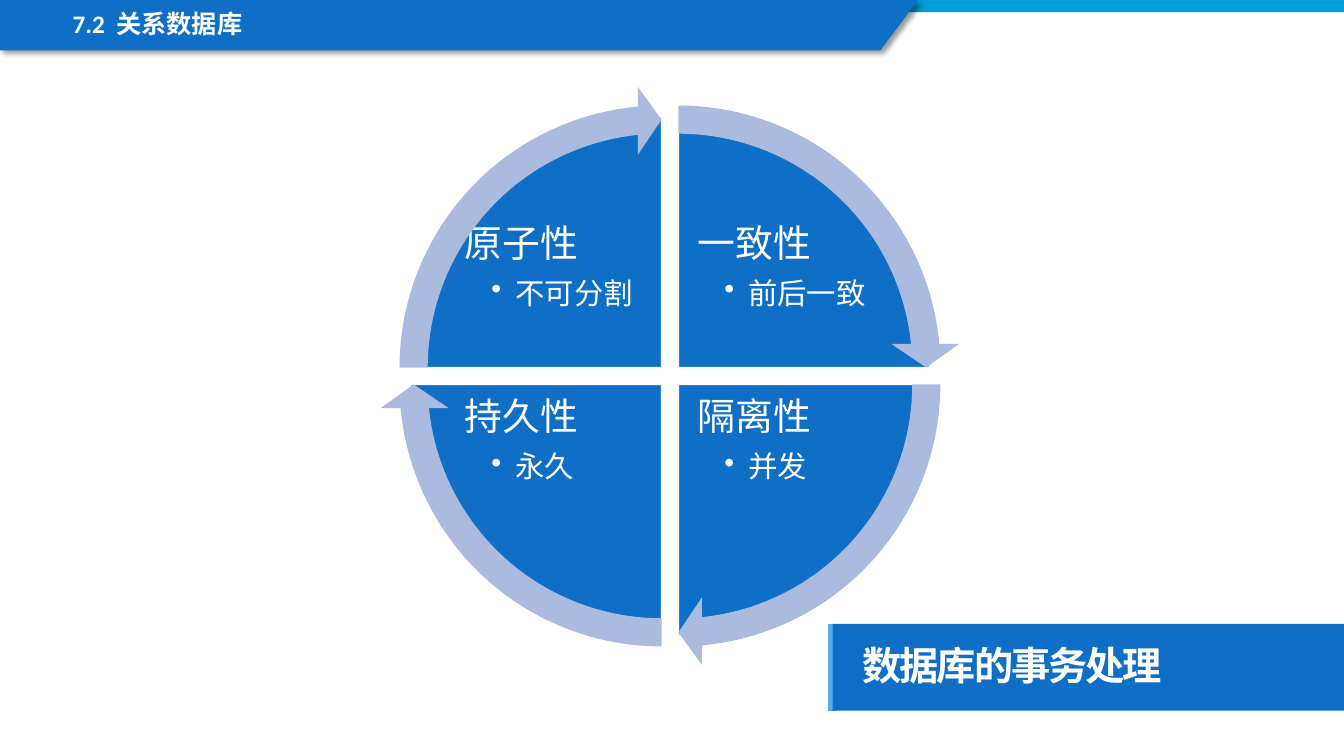
"""Build the slide on database transaction properties."""
from lxml.etree import SubElement
from pptx import Presentation
from pptx.dml.color import RGBColor
from pptx.enum.shapes import MSO_CONNECTOR, MSO_SHAPE
from pptx.enum.text import MSO_ANCHOR, MSO_AUTO_SIZE, PP_ALIGN
from pptx.oxml.ns import qn
from pptx.util import Inches, Pt

COLORS = {
    "blue": "0F6FC6", "cyan": "009DD9", "sky": "59AAF2",
    "pale": "ABBBDF", "white": "FFFFFF", "black": "000000",
}
CJK = "Noto Sans CJK SC"
COLS, ROWS = 160, 90
CENTER_X, CENTER_Y = 79.76, 44.76
GAP = 1
QUARTER = 54
TURN = 4 * QUARTER
HEAD = 3.28
QUADRANTS = [
    (1, -1, "一致性", "前后一致"),
    (1, 1, "隔离性", "并发"),
    (-1, 1, "持久性", "永久"),
    (-1, -1, "原子性", "不可分割"),
]


def rgb(name):
    return RGBColor.from_string(COLORS[name])


def put(obj, values):
    for key, value in values.items():
        setattr(obj, key, value)


def centered(x, y, w, h):
    return x - w / 2, y - h / 2, w, h


class Deck:
    """Hold the style, the grid and the current slide."""

    def __init__(self):
        self.prs = Presentation()
        put(self.prs, {"slide_width": Inches(13.33), "slide_height": Inches(7.5)})
        self.s = self.prs.slides.add_slide(self.prs.slide_layouts[1])
        self.shapes = self.s.shapes

    def grid(self, x, y, w, h):
        col, row = self.prs.slide_width / COLS, self.prs.slide_height / ROWS
        return [round(v) for v in (x * col, y * row, w * col, h * row)]

    def paint(self, sp, fill, outline=None):
        sp.shadow.inherit = False
        sp.fill.solid()
        sp.fill.fore_color.rgb = rgb(fill)
        if outline:
            sp.line.color.rgb = rgb(outline)
            sp.line.width = Pt(1)
        else:
            sp.line.fill.background()

    def shape(self, kind, box, fill, outline=None, adjust=()):
        sp = self.shapes.add_shape(kind, *self.grid(*box))
        for i, value in enumerate(adjust):
            sp.adjustments[i] = value
        self.paint(sp, fill, outline)

    def line(self, x1, y1, x2, y2, color, width):
        ends = self.grid(x1, y1, x2, y2)
        c = self.shapes.add_connector(MSO_CONNECTOR.STRAIGHT, *ends)
        c.line.color.rgb = rgb(color)
        c.line.width = Pt(width)
        SubElement(c._element.spPr, qn("a:effectLst"))

    def ribbon(self, points, fill):
        corners = [self.grid(x, y, 0, 0)[:2] for x, y in points]
        builder = self.shapes.build_freeform(*corners[0])
        builder.add_line_segments(corners[1:], close=True)
        sp = builder.convert_to_shape()
        self.paint(sp, fill)
        effects = sp._element.spPr.find(qn("a:effectLst"))
        shadow = SubElement(effects, qn("a:outerShdw"), blurRad=str(Pt(4)),
                            dist=str(Pt(3)), dir="2700000", algn="tl", rotWithShape="0")
        color = SubElement(shadow, qn("a:srgbClr"), val=COLORS["black"])
        SubElement(color, qn("a:alpha"), val="40000")

    def run(self, p, text, size, font, bold=False, spacing=0):
        r = p.add_run()
        r.text = text
        put(r.font, {"name": font, "size": Pt(size), "bold": bold})
        r.font.color.rgb = rgb("white")
        rPr = r._r.get_or_add_rPr()
        SubElement(rPr, qn("a:ea"), typeface=CJK)
        if spacing:
            rPr.set("spc", str(round(spacing * 100)))

    def placeholder(self, sp, box, text, frame, fill=None, **style):
        self.shapes._spTree.append(sp._element)
        put(sp, dict(zip(("left", "top", "width", "height"), self.grid(*box))))
        if fill:
            self.paint(sp, fill)
        tf = sp.text_frame
        put(tf, {"word_wrap": True, "auto_size": MSO_AUTO_SIZE.NONE, **frame})
        p = tf.paragraphs[0]
        pPr = p._p.get_or_add_pPr()
        put(pPr, {"marL": 0, "indent": 0})
        SubElement(pPr, qn("a:buNone"))
        put(p, {"alignment": PP_ALIGN.LEFT, "line_spacing": 0.9, "space_before": Pt(0)})
        self.run(p, text, **style)

    def caption(self, box, heading, detail):
        tf = self.shapes.add_textbox(*self.grid(*box)).text_frame
        margins = ("margin_left", "margin_top", "margin_right", "margin_bottom")
        put(tf, {"word_wrap": True, **dict.fromkeys(margins, Inches(0.04))})
        for level, (text, size, after) in enumerate([(heading, 27, 35), (detail, 21, 15)]):
            p = tf.add_paragraph() if level else tf.paragraphs[0]
            pPr = p._p.get_or_add_pPr()
            space = SubElement(pPr, qn("a:spcAft"))
            SubElement(space, qn("a:spcPct"), val=str(after * 1000))
            if level:
                put(pPr, {"marL": Inches(0.25), "indent": -Inches(0.25)})
                SubElement(pPr, qn("a:buChar"), char="•")
            put(p, {"level": level, "line_spacing": 0.9})
            self.run(p, text, size, "Calibri")


def main():
    deck = Deck()
    title, section = deck.s.placeholders
    deck.line(99.12, 84.6, 99.12, 74.28, "sky", 6)
    deck.shape(MSO_SHAPE.RECTANGLE, (0, 0, COLS, 1.44), "cyan")
    deck.ribbon([(0, 0), (109.3, 0), (104.8, 6), (0, 6)], "blue")
    deck.placeholder(
        title, (99.12, 74.28, 60.88, 10.32), "数据库的事务处理",
        {"vertical_anchor": MSO_ANCHOR.MIDDLE, "margin_left": Inches(0.3),
         "margin_top": Inches(0.2), "margin_right": Inches(0.2),
         "margin_bottom": Inches(0.2)},
        fill="blue", size=28, font=CJK, bold=True, spacing=-1.5)
    deck.placeholder(
        section, (7.44, 0.84, 83.52, 4.56), "7.2  关系数据库",
        {"vertical_anchor": MSO_ANCHOR.TOP}, size=18, font="Calibri", bold=True)

    arrows = []
    for i, (dx, dy, heading, detail) in enumerate(QUADRANTS):
        x, y = CENTER_X + dx * GAP, CENTER_Y + dy * GAP
        start = (i + 3) * QUARTER % TURN
        deck.shape(MSO_SHAPE.PIE, centered(x, y, 59.76, 59.76), "blue", "white",
                   (start, (start + QUARTER) % TURN))
        deck.caption(centered(CENTER_X + dx * 13.86, CENTER_Y + dy * 10.32, 22.08, 16.32),
                     heading, detail)
        arrows.append((centered(x, y, 67.08, 67.08),
                       (0.05, HEAD, start + QUARTER - HEAD, start, 0.06)))
    for box, adjust in arrows:
        deck.shape(MSO_SHAPE.CIRCULAR_ARROW, box, "pale", adjust=adjust)
    deck.prs.save("out.pptx")


if __name__ == "__main__":
    main()
